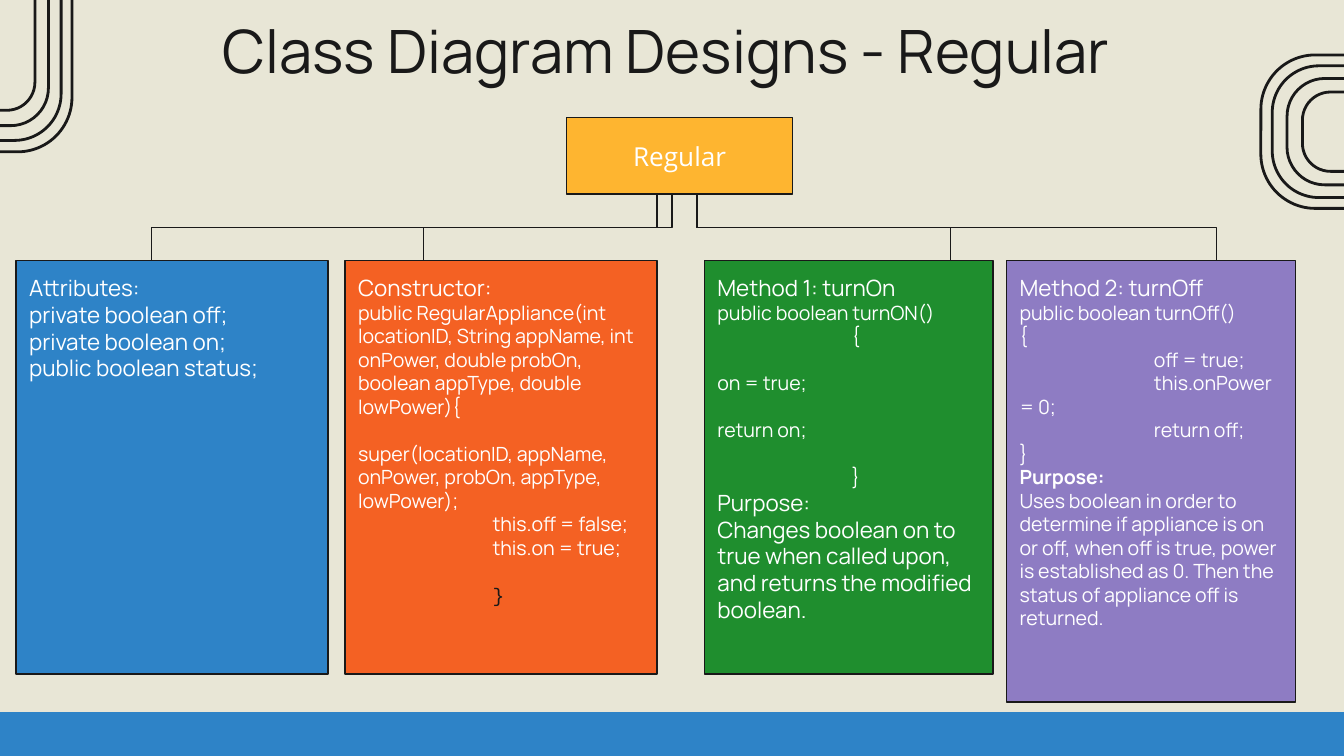
import lxml.etree
import pptx
import pptx.dml.color
import pptx.enum.shapes
import pptx.enum.text
import pptx.oxml.ns
import pptx.util

Cm = pptx.util.Cm
SHAPE = pptx.enum.shapes.MSO_SHAPE
ALIGN = pptx.enum.text.PP_ALIGN
ANCHOR = pptx.enum.text.MSO_ANCHOR

INK, WHITE, CREAM, BLUE = "191919", "FFFFFF", "E8E6D6", "2E83C7"
YELLOW, ORANGE, GREEN, PURPLE = "FEB530", "F46123", "1F8E2E", "8E7CC3"

RING_SIZES = [(9.98, 2.9), (9.55, 2.49), (8.99, 2.01), (8.41, 1.5)]
ROOT_TOP, ROOT_BOTTOM, BOX_TOP = 2.22, 3.67, 4.93
TAB_SIZE = Cm(2.54)
HEADING = {"size": 12}
CODE = {"size": 10.5}
CODE_AFTER_GAP = {"size": 10.5, "space_before": 12.6}

# left, width, height, fill, paragraphs
BOXES = [
    (0.3, 5.9, 7.81, BLUE, [
        ("Attributes:", HEADING),
        ("private boolean off;", HEADING),
        ("private boolean on;", HEADING),
        ("public boolean status;", HEADING),
    ]),
    (6.52, 5.9, 7.81, ORANGE, [
        ("Constructor:", HEADING),
        ("public RegularAppliance(int locationID, String appName, int onPower, "
         "double probOn, boolean appType, double lowPower){", CODE),
        ("super(locationID, appName, onPower, probOn, appType, lowPower);",
         CODE_AFTER_GAP),
        ("\tthis.off = false;", CODE),
        ("\tthis.on = true;", CODE),
        ("\t}", {**CODE_AFTER_GAP, "font": "Courier New", "color": INK}),
    ]),
    (13.31, 5.46, 7.81, GREEN, [
        ("Method 1: turnOn", HEADING),
        ("public boolean turnON()", CODE),
        ("\t{", CODE),
        ("\t\ton = true;", CODE),
        ("\t\treturn on;", CODE),
        ("\t}", CODE_AFTER_GAP),
        ("Purpose:", HEADING),
        ("Changes boolean on to true when called upon, and returns the "
         "modified boolean.", HEADING),
    ]),
    (19.02, 5.46, 8.34, PURPLE, [
        ("Method 2: turnOff", HEADING),
        ("public boolean turnOff()", CODE),
        ("{", CODE),
        ("\toff = true;", CODE),
        ("\tthis.onPower = 0;", CODE),
        ("\treturn off;", CODE),
        ("}", CODE),
        ("Purpose:", {**CODE, "bold": True}),
        ("Uses boolean in order to determine if appliance is on or off, when "
         "off is true, power is established as 0. Then the status of appliance "
         "off is returned.", CODE),
    ]),
]

# x at the root box, x at the class box
BRANCHES = [(13.17, 22.99), (12.42, 8), (12.7, 2.86), (13.17, 17.96)]


def rgb(color):
    return pptx.dml.color.RGBColor.from_string(color)


def add_box(shapes, kind, left, top, width, height, fill=None, line=INK,
            line_width=0.75):
    shape = shapes.add_shape(kind, Cm(left), Cm(top), Cm(width), Cm(height))
    shape.shadow.inherit = False
    if fill:
        shape.fill.solid()
        shape.fill.fore_color.rgb = rgb(fill)
    else:
        shape.fill.background()
    shape.line.color.rgb = rgb(line)
    shape.line.width = pptx.util.Pt(line_width)
    return shape


def prepare_frame(shape, anchor=ANCHOR.TOP):
    frame = shape.text_frame
    frame.word_wrap = True
    frame.vertical_anchor = anchor
    frame.margin_left = frame.margin_right = Cm(0.25)
    frame.margin_top = frame.margin_bottom = Cm(0.25)
    return frame


def add_text(frame, text, size=12, font="Manrope", color=WHITE, bold=False,
             align=ALIGN.LEFT, space_before=0):
    """Add one paragraph, using the frame's first one while it is empty."""
    paragraph = frame.paragraphs[0]
    if paragraph.runs:
        paragraph = frame.add_paragraph()
    paragraph.alignment = align
    paragraph.space_before = pptx.util.Pt(space_before)
    properties = paragraph.runs or paragraph.font
    run = paragraph.add_run()
    run.text = text
    run.font.size = pptx.util.Pt(size)
    run.font.name = font
    run.font.bold = bold
    run.font.color.rgb = rgb(color)
    return paragraph


def set_tab_size(frame):
    for properties in frame._txBody.iter(pptx.oxml.ns.qn("a:pPr")):
        properties.set("defTabSz", str(TAB_SIZE))


def add_rings(slide, center_x, center_y, upright=False):
    """Draw nested rounded outlines around one centre."""
    group = slide.shapes.add_group_shape()
    for width, height in RING_SIZES:
        if upright:
            width, height = height, width
        ring = add_box(group.shapes, SHAPE.ROUNDED_RECTANGLE,
                       center_x - width / 2, center_y - height / 2,
                       width, height, line_width=1.5)
        ring.adjustments[0] = 0.354


def add_branch(slide, start_x, start_y, end_x, end_y):
    """Draw an elbow that leaves downwards: a sideways elbow, turned."""
    center_x, center_y = (start_x + end_x) / 2, (start_y + end_y) / 2
    half_drop, half_span = (end_y - start_y) / 2, abs(end_x - start_x) / 2
    rightward = end_x > start_x
    if rightward:
        half_drop = -half_drop
    connector = slide.shapes.add_connector(
        pptx.enum.shapes.MSO_CONNECTOR.ELBOW,
        Cm(center_x - half_drop), Cm(center_y - half_span),
        Cm(center_x + half_drop), Cm(center_y + half_span))
    connector.line.color.rgb = rgb(INK)
    connector.line.width = pptx.util.Pt(0.75)
    properties = connector.element.spPr
    properties.find(pptx.oxml.ns.qn("a:xfrm")).set(
        "rot", str((270 if rightward else 90) * 60000))
    lxml.etree.SubElement(properties, pptx.oxml.ns.qn("a:effectLst"))


def main():
    presentation = pptx.Presentation()
    presentation.slide_width = Cm(25.4)
    presentation.slide_height = Cm(14.29)
    slide = presentation.slides.add_slide(presentation.slide_layouts[6])
    slide.background.fill.solid()
    slide.background.fill.fore_color.rgb = rgb(CREAM)

    add_rings(slide, -0.09, -2.12, upright=True)
    add_rings(slide, 28.82, 2.49)
    add_box(slide.shapes, SHAPE.RECTANGLE, 0, 13.47, 25.4, 0.82, BLUE, BLUE)

    title = slide.shapes.add_textbox(Cm(2.01), Cm(0.01), Cm(21.41), Cm(1.6))
    add_text(prepare_frame(title), "Class Diagram Designs - Regular ",
             size=32, color=INK, align=ALIGN.CENTER)

    root = add_box(slide.shapes, SHAPE.RECTANGLE, 10.71, ROOT_TOP, 4.27,
                   ROOT_BOTTOM - ROOT_TOP, YELLOW)
    add_text(prepare_frame(root, ANCHOR.MIDDLE), "Regular", size=14,
             font="Open Sans", align=ALIGN.CENTER)

    for left, width, height, fill, paragraphs in BOXES:
        box = add_box(slide.shapes, SHAPE.RECTANGLE, left, BOX_TOP, width,
                      height, fill)
        frame = prepare_frame(box)
        for text, text_format in paragraphs:
            add_text(frame, text, **text_format)
        set_tab_size(frame)

    for start_x, end_x in BRANCHES:
        add_branch(slide, start_x, ROOT_BOTTOM, end_x, BOX_TOP)

    presentation.save("out.pptx")


if __name__ == "__main__":
    main()
